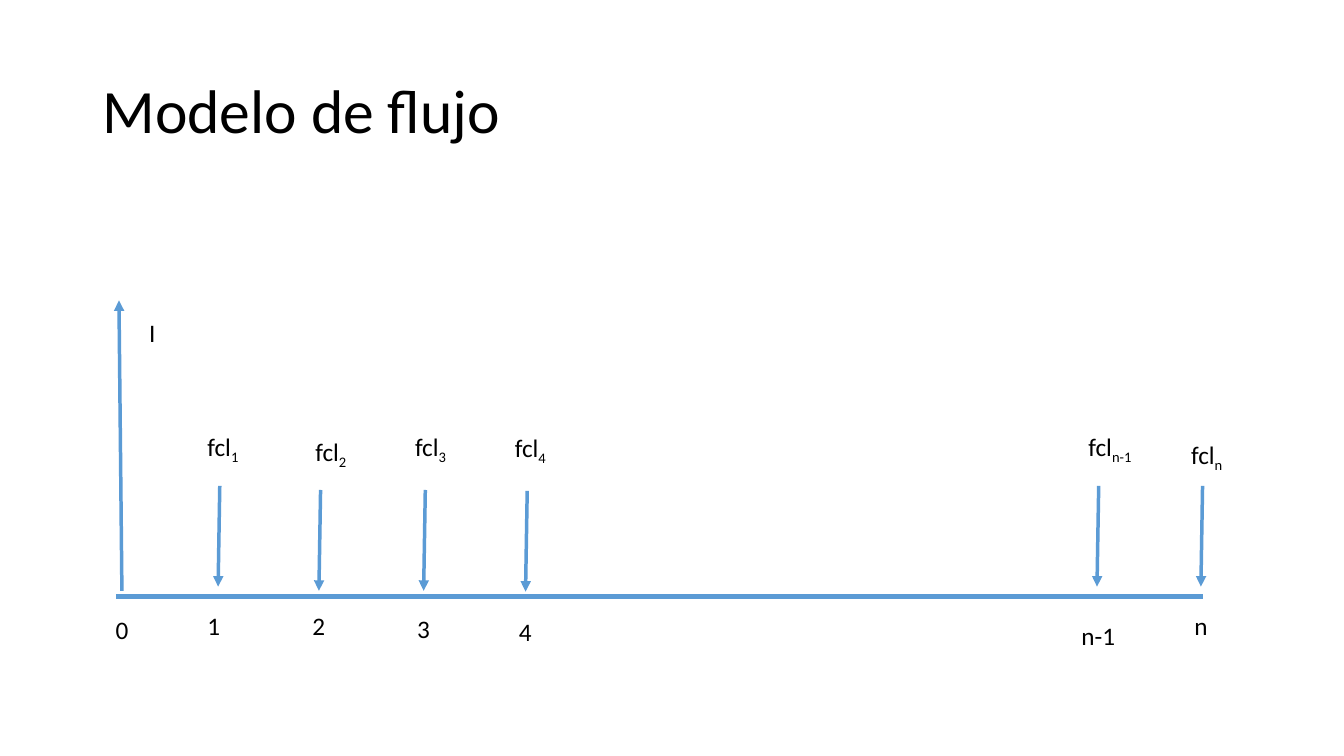
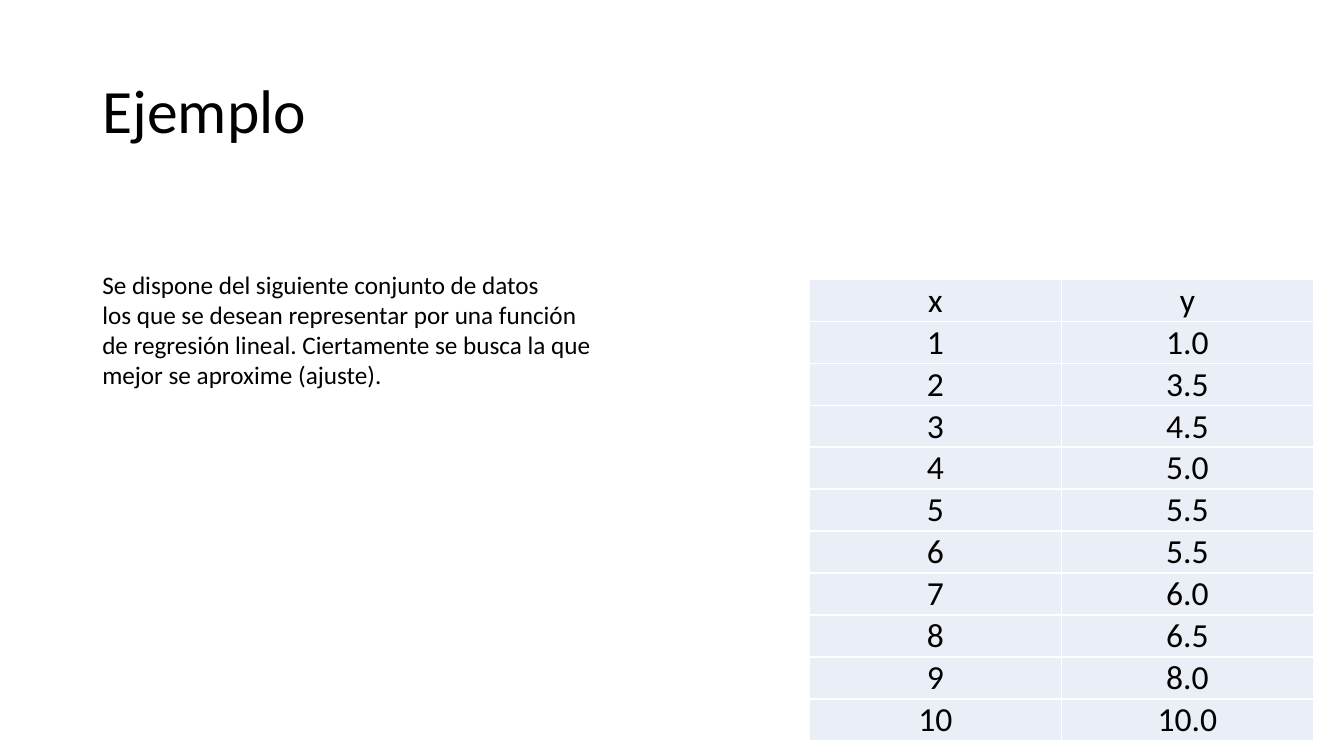
"""Builds two slides: a cash flow diagram and a regression data example."""
import lxml.etree
import pptx
import pptx.dml.color
import pptx.enum.shapes
import pptx.enum.text
import pptx.oxml.ns
import pptx.util

Pt = pptx.util.Pt
RGBColor = pptx.dml.color.RGBColor
ALIGN = pptx.enum.text.PP_ALIGN
ANCHOR = pptx.enum.text.MSO_ANCHOR
AUTO_SIZE = pptx.enum.text.MSO_AUTO_SIZE
qn = pptx.oxml.ns.qn

BLACK = RGBColor(0x00, 0x00, 0x00)
WHITE = RGBColor(0xFF, 0xFF, 0xFF)
BLUE = RGBColor(0x5B, 0x9B, 0xD5)
PALE_BLUE = RGBColor(0xEA, 0xEF, 0xF7)

TITLE_FRAME = {"vertical_anchor": ANCHOR.MIDDLE, "word_wrap": True,
               "auto_size": AUTO_SIZE.NONE}
TITLE_PARAGRAPH = {"alignment": ALIGN.LEFT, "line_spacing": 0.9}
LABEL_FRAME = {"word_wrap": False, "auto_size": AUTO_SIZE.SHAPE_TO_FIT_TEXT}
CELL_FORMAT = {"vertical_anchor": ANCHOR.BOTTOM, "margin_left": Pt(0.7),
               "margin_right": Pt(0.7), "margin_top": Pt(0.7),
               "margin_bottom": Pt(0)}

AXIS_LEFT, AXIS_RIGHT, AXIS_Y = 82.8, 859, 426.2
ARROW_LENGTH, ARROW_SLANT = 72, 1.2
LABEL_HEIGHT = 28.8
ROW_HEIGHT, COLUMN_WIDTH = 30, 180

ARROW_STARTS = [(157, 347), (229, 350), (303.8, 350), (376.6, 350.6),
                (784.8, 347), (859, 347)]
LABELS = [
    ("0", "", 75.6, 435.6, 23.8),
    ("1", "", 141.1, 432.7, 23.8),
    ("2", "", 216, 432.7, 23.8),
    ("3", "", 290.9, 434.9, 23.8),
    ("4", "", 363.6, 437, 23.8),
    ("n-1", "", 765.4, 439.2, 38.9),
    ("n", "", 846, 432.7, 24.5),
    ("fcl", "1", 141.1, 304.6, 37.4),
    ("fcl", "2", 218.2, 308.2, 37.4),
    ("fcl", "3", 289.4, 304.6, 37.4),
    ("fcl", "4", 360.7, 305.3, 37.4),
    ("fcl", "n-1", 770.4, 304.6, 47.5),
    ("fcl", "n", 843.8, 310.3, 38.2),
    ("I", "", 99.4, 223.2, 19.4),
]
EXAMPLE_LINES = [
    "Se dispone del siguiente conjunto de datos",
    "los que se desean representar por una función",
    "de regresión lineal. Ciertamente se busca la que",
    "mejor se aproxime (ajuste).",
]
DATA_ROWS = [("x", "y"), ("1", "1.0"), ("2", "3.5"), ("3", "4.5"),
             ("4", "5.0"), ("5", "5.5"), ("6", "5.5"), ("7", "6.0"),
             ("8", "6.5"), ("9", "8.0"), ("10", "10.0")]


def apply_formats(target, formats):
    """Sets every attribute named in the dict."""
    for name, value in formats.items():
        setattr(target, name, value)


def add_span(para, text, size, baseline=None):
    """Adds a run of black text, lowered when a baseline is given."""
    span = para.add_run()
    span.text = text
    apply_formats(span.font, {"name": "Calibri", "size": Pt(size), "bold": False})
    span.font.color.rgb = BLACK
    if baseline:
        span.font._element.set("baseline", str(baseline))


def add_page(deck, title):
    """Adds a slide with the shared title style."""
    page = deck.slides.add_slide(deck.slide_layouts[5])
    box = page.shapes.title
    apply_formats(box, {"left": Pt(66), "top": Pt(28.8),
                        "width": Pt(828), "height": Pt(104.4)})
    apply_formats(box.text_frame, TITLE_FRAME)
    para = box.text_frame.paragraphs[0]
    apply_formats(para, TITLE_PARAGRAPH)
    add_span(para, title, 44)
    return page


def add_line(page, start, end, weight, arrow=False):
    """Draws a straight blue line, with an optional arrowhead at its end."""
    line = page.shapes.add_connector(
        pptx.enum.shapes.MSO_CONNECTOR.STRAIGHT,
        *(Pt(value) for value in (*start, *end)))
    line.line.color.rgb = BLUE
    line.line.width = Pt(weight)
    if arrow:
        outline = line.line._get_or_add_ln()
        lxml.etree.SubElement(outline, qn("a:tailEnd"), type="triangle")
    lxml.etree.SubElement(line._element.spPr, qn("a:effectLst"))


def add_text_box(page, left, top, width, height):
    """Adds an unwrapped text box and returns its text frame."""
    box = page.shapes.add_textbox(Pt(left), Pt(top), Pt(width), Pt(height))
    apply_formats(box.text_frame, LABEL_FRAME)
    return box.text_frame


def add_label(page, text, subscript, left, top, width):
    """Adds a short label with an optional subscript."""
    para = add_text_box(page, left, top, width, LABEL_HEIGHT).paragraphs[0]
    add_span(para, text, 18)
    if subscript:
        add_span(para, subscript, 18, -25000)


def add_lines(page, lines, left, top, width, height):
    """Adds a text box with one paragraph for each line."""
    frame = add_text_box(page, left, top, width, height)
    for index, text in enumerate(lines):
        para = frame.add_paragraph() if index else frame.paragraphs[0]
        add_span(para, text, 18)


def add_borders(cell):
    """Gives a cell thin white borders on all four sides."""
    properties = cell._tc.get_or_add_tcPr()
    for index, side in enumerate(("lnL", "lnR", "lnT", "lnB")):
        border = lxml.etree.Element(qn("a:" + side), w=str(Pt(1)))
        fill = lxml.etree.SubElement(border, qn("a:solidFill"))
        lxml.etree.SubElement(fill, qn("a:srgbClr"), val=str(WHITE))
        properties.insert(index, border)


def add_data_table(page, rows, left, top):
    """Adds a centred table with one pale fill throughout."""
    count = len(rows[0])
    table = page.shapes.add_table(
        len(rows), count, Pt(left), Pt(top),
        Pt(COLUMN_WIDTH * count), Pt(ROW_HEIGHT * len(rows))).table
    apply_formats(table, {"first_row": False, "horz_banding": False})
    for row_index, row in enumerate(rows):
        for column_index, text in enumerate(row):
            cell = table.cell(row_index, column_index)
            apply_formats(cell, CELL_FORMAT)
            cell.fill.solid()
            cell.fill.fore_color.rgb = PALE_BLUE
            add_borders(cell)
            para = cell.text_frame.paragraphs[0]
            para.alignment = ALIGN.CENTER
            add_span(para, text, 24)


def build_flow_page(deck):
    """Builds the cash flow diagram."""
    page = add_page(deck, "Modelo de flujo")
    add_line(page, (AXIS_LEFT, AXIS_Y), (AXIS_RIGHT, AXIS_Y), 3.5)
    add_line(page, (87.1, 422), (85, 214.6), 2.5, arrow=True)
    for left, top in ARROW_STARTS:
        end = (left - ARROW_SLANT, top + ARROW_LENGTH)
        add_line(page, (left, top), end, 2.5, arrow=True)
    for label in LABELS:
        add_label(page, *label)


def build_example_page(deck):
    """Builds the example with its data table."""
    page = add_page(deck, "Ejemplo")
    add_data_table(page, DATA_ROWS, 578.2, 199.4)
    add_lines(page, EXAMPLE_LINES, 66, 188.6, 369.4, 94.3)


def main():
    """Builds and saves the deck."""
    deck = pptx.Presentation()
    apply_formats(deck, {"slide_width": Pt(960), "slide_height": Pt(540)})
    build_flow_page(deck)
    build_example_page(deck)
    deck.save("out.pptx")


if __name__ == "__main__":
    main()
